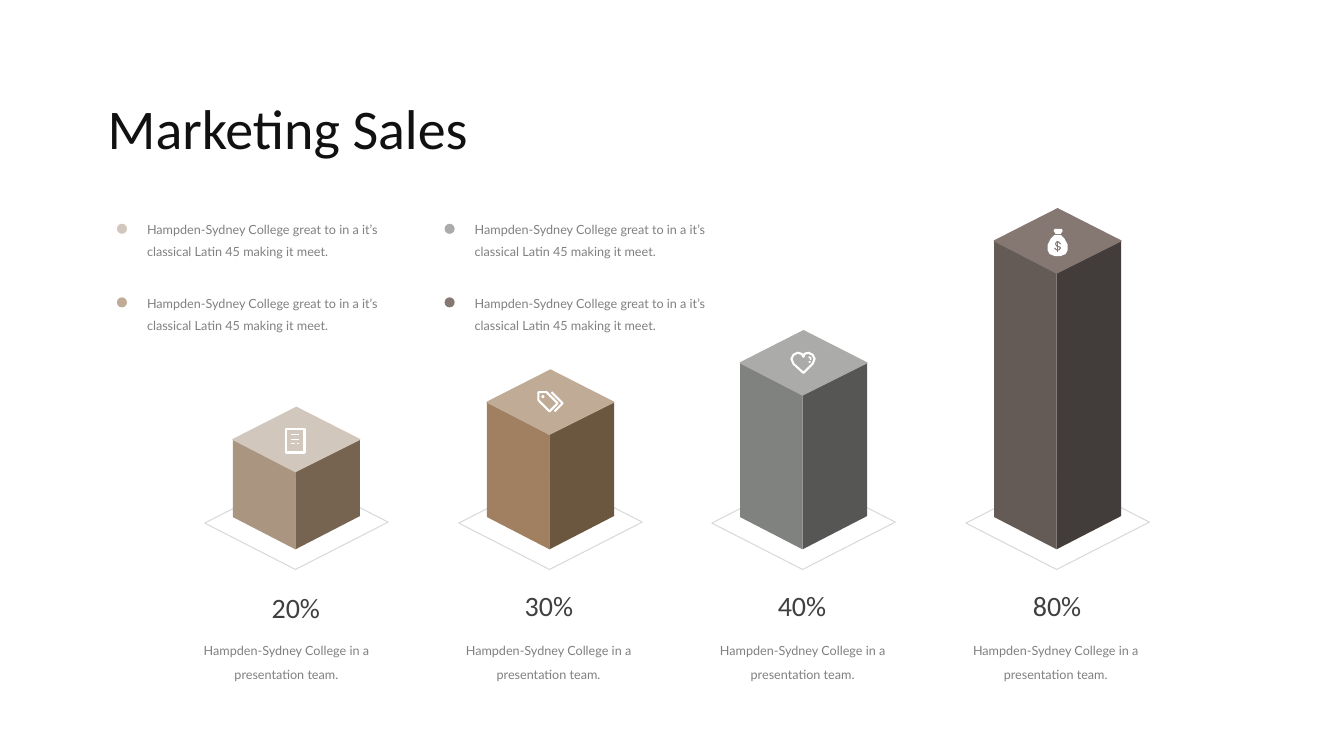
from pptx import Presentation
from pptx.dml.color import RGBColor
from pptx.enum.shapes import MSO_SHAPE
from pptx.enum.text import MSO_AUTO_SIZE, PP_ALIGN
from pptx.util import Inches, Pt

deck = Presentation()
deck.slide_width, deck.slide_height = Inches(13.33), Inches(7.5)
slide = deck.slides.add_slide(deck.slide_layouts[6])
shapes = slide.shapes


def draw(points, fill=None, line=None, width=0, close=True):
    """Draw a path through points, or an oval when points is a box of four numbers."""
    if isinstance(points, tuple):
        shape = shapes.add_shape(MSO_SHAPE.OVAL, *[Inches(n) for n in points])
    else:
        spots = [(Inches(x), Inches(y)) for x, y in points]
        path = shapes.build_freeform(*spots[0])
        path.add_line_segments(spots[1:], close=close)
        shape = path.convert_to_shape()
    shape.shadow.inherit = False
    if fill:
        shape.fill.solid()
        shape.fill.fore_color.rgb = RGBColor.from_string(fill)
    else:
        shape.fill.background()
    if line:
        shape.line.color.rgb = RGBColor.from_string(line)
        shape.line.width = Pt(width)
    else:
        shape.line.fill.background()


def write(text, box, size, font, color, align=PP_ALIGN.LEFT, space=None, wrap=True):
    frame = shapes.add_textbox(*[Inches(n) for n in box]).text_frame
    frame.word_wrap = wrap
    frame.auto_size = MSO_AUTO_SIZE.SHAPE_TO_FIT_TEXT
    para = frame.paragraphs[0]
    para.alignment = align
    if space:
        para.line_spacing = Pt(space)
    run = para.add_run()
    run.text = text
    run.font.size = Pt(size)
    run.font.name = font
    run.font.color.rgb = RGBColor.from_string(color)


WHITE, GRAY = "FFFFFF", "808080"

write("Marketing Sales", (0.97, 0.92, 6.86, 0.74), 40, "Calibri", "111111", space=45)

# Columns: front edge x, shoulder y, share, share box x and y, caption x, top, left, right
columns = [
    (2.93, 4.36, "20%", 2.57, 5.81, 1.88, "D2C7BC", "AA9580", "776450"),
    (5.45, 3.99, "30%", 5.08, 5.79, 4.48, "C0AB96", "A08061", "6B5640"),
    (7.96, 3.6, "40%", 7.59, 5.79, 7, "ABACAA", "80827F", "565754"),
    (10.48, 2.39, "80%", 10.12, 5.79, 9.51, "857873", "645A56", "423C3A"),
]
for x, y, share, left, top, note, roof, west, east in columns:
    draw([(x + 0.02, 4.72), (x + 0.92, 5.18), (x, 5.65), (x - 0.9, 5.19)], line="D9D9D9")
    draw([(x + 0.64, y), (x + 0.64, 5.12), (x, 5.45), (x, y + 0.32)], east)
    draw([(x - 0.62, y), (x, y + 0.32), (x, 5.45), (x - 0.62, 5.13)], west)
    draw([(x + 0.01, y - 0.32), (x + 0.64, y), (x, y + 0.32), (x - 0.62, y)], roof, roof)
    write(share, (left, top, 0.73, 0.44), 20, "Calibri", "404040",
          PP_ALIGN.CENTER, wrap=False)
    write("Hampden-Sydney College in a presentation team.", (note, 6.24, 1.92, 0.55),
          9, "Lato", GRAY, PP_ALIGN.CENTER, 17)

# Receipt
draw([(2.84, 4.26), (3.02, 4.26), (3.02, 4.49), (2.84, 4.49)], line=WHITE, width=1.5)
for x, y, end in [(2.89, 4.31, 2.97), (2.89, 4.36, 2.97), (2.89, 4.4, 2.93), (2.95, 4.4, 2.97)]:
    draw([(x, y), (end, y)], line=WHITE, width=1.25, close=False)

# Price tags
draw([(5.34, 3.89), (5.42, 3.89), (5.53, 4), (5.45, 4.08), (5.34, 3.97)], line=WHITE, width=1.5)
draw([(5.47, 3.89), (5.58, 4), (5.5, 4.08)], line=WHITE, width=1.5, close=False)
draw((5.37, 3.92, 0.03, 0.03), WHITE)

# Heart
draw([(7.97, 3.54), (7.95, 3.51), (7.91, 3.5), (7.87, 3.52), (7.85, 3.56), (7.87, 3.61),
      (7.97, 3.7), (8.06, 3.61), (8.08, 3.56), (8.06, 3.52), (8.02, 3.5), (7.98, 3.51)],
     line=WHITE, width=1.5)
draw([(8.02, 3.54), (8.04, 3.55), (8.04, 3.57)], line=WHITE, width=1, close=False)
draw((8.02, 3.58, 0.02, 0.02), WHITE)

# Money bag
draw([(10.47, 2.32), (10.45, 2.29), (10.46, 2.27), (10.53, 2.27), (10.54, 2.29),
      (10.52, 2.32)], WHITE)
draw([(10.46, 2.33), (10.52, 2.33), (10.56, 2.37), (10.59, 2.43), (10.59, 2.48),
      (10.57, 2.52), (10.52, 2.54), (10.46, 2.54), (10.41, 2.52), (10.39, 2.48),
      (10.39, 2.43), (10.42, 2.37)], WHITE)
draw([(10.52, 2.42), (10.5, 2.4), (10.48, 2.4), (10.47, 2.42), (10.48, 2.44), (10.51, 2.45),
      (10.52, 2.46), (10.5, 2.48), (10.48, 2.48), (10.46, 2.46)],
     line="857873", width=0.75, close=False)
draw([(10.49, 2.39), (10.49, 2.5)], line="857873", width=0.5, close=False)

# Legend
for x, y, color in [(1.16, 2.22, "D2C7BC"), (1.16, 2.95, "C0AB96"),
                    (4.41, 2.22, "ABACAA"), (4.41, 2.95, "857873")]:
    draw((x, y, 0.1, 0.1), color)
    write("Hampden-Sydney College great to in a it’s classical Latin 45 making it meet.",
          (x + 0.2, y - 0.14, 2.58, 0.52), 9, "Lato", GRAY, space=16)

deck.save("out.pptx")
